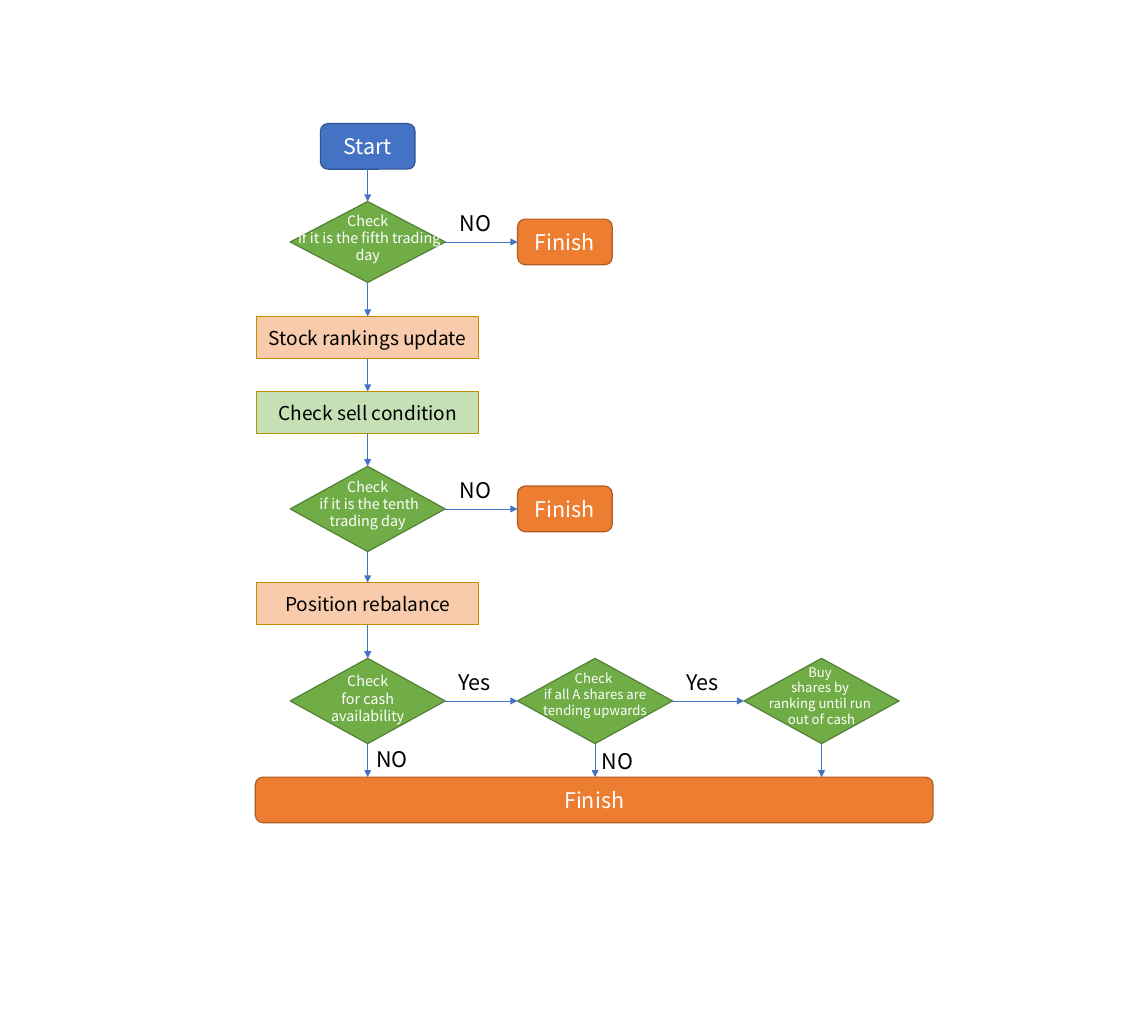
"""Build a flowchart slide of a periodic stock trading strategy."""
from dataclasses import dataclass

from lxml import etree
from pptx import Presentation
from pptx.dml.color import RGBColor
from pptx.enum.shapes import MSO_CONNECTOR, MSO_SHAPE
from pptx.enum.text import MSO_ANCHOR, PP_ALIGN
from pptx.oxml.ns import qn
from pptx.util import Inches, Pt

DECISION = MSO_SHAPE.FLOWCHART_DECISION
PROCESS = MSO_SHAPE.FLOWCHART_PROCESS
ROUNDED = MSO_SHAPE.ROUNDED_RECTANGLE
STRAIGHT = MSO_CONNECTOR.STRAIGHT
CENTER, LEFT = PP_ALIGN.CENTER, PP_ALIGN.LEFT
TOP, MIDDLE = MSO_ANCHOR.TOP, MSO_ANCHOR.MIDDLE
SITE_TOP, SITE_LEFT, SITE_BOTTOM, SITE_RIGHT = range(4)


@dataclass(frozen=True)
class Theme:
    """Colours as (fill, line) pairs, type sizes and the font."""
    font: str = "Noto Sans CJK SC"
    white: str = "FFFFFF"
    black: str = "000000"
    arrow: str = "4472C4"
    start: tuple = ("4472C4", "325491")
    finish: tuple = ("ED7D31", "AF5C24")
    decision: tuple = ("70AD47", "538035")
    update: tuple = ("F8CBAD", "BD8E00")
    check: tuple = ("C5E0B4", "BD8E00")
    large: int = 18
    medium: int = 16
    small: int = 12
    tiny: int = 11
    leading: float = 1.2


class Flowchart:
    """Draws flowchart elements on one slide in one theme."""

    def __init__(self, slide, theme):
        """Keep the slide and the theme."""
        self.slide = slide
        self.theme = theme

    def set_text(self, shape, lines, size, color, align=CENTER, anchor=MIDDLE):
        """Fill a shape with one paragraph for each line."""
        frame = shape.text_frame
        frame.word_wrap = True
        frame.vertical_anchor = anchor
        frame.text = "\n".join(lines)
        for paragraph in frame.paragraphs:
            paragraph.alignment = align
            paragraph.line_spacing = Pt(size * self.theme.leading)
            paragraph.font.name = self.theme.font
            paragraph.font.size = Pt(size)
            paragraph.font.color.rgb = RGBColor.from_string(color)

    def node(self, kind, center, middle, width, height, colors):
        """Add an outlined shape around a centre point."""
        shape = self.slide.shapes.add_shape(
            kind, Inches(center - width / 2), Inches(middle - height / 2),
            Inches(width), Inches(height))
        shape.shadow.inherit = False
        fill, line = colors
        shape.fill.solid()
        shape.fill.fore_color.rgb = RGBColor.from_string(fill)
        shape.line.color.rgb = RGBColor.from_string(line)
        shape.line.width = Pt(1)
        return shape

    def terminal(self, text, center, middle, colors, width=1.1):
        """Add a rounded start or finish box."""
        shape = self.node(ROUNDED, center, middle, width, 0.53, colors)
        self.set_text(shape, [text], self.theme.large, self.theme.white)
        return shape

    def process(self, text, center, middle, colors):
        """Add a rectangular step."""
        shape = self.node(PROCESS, center, middle, 2.58, 0.49, colors)
        self.set_text(shape, [text], self.theme.medium, self.theme.black)
        return shape

    def text_box(self, left, top, width, height, lines, size, color, align):
        """Add a text box."""
        box = self.slide.shapes.add_textbox(
            Inches(left), Inches(top), Inches(width), Inches(height))
        self.set_text(box, lines, size, color, align, TOP)

    def decision(self, lines, center, middle, height, text_top, size):
        """Add a diamond with a wider text box over it."""
        shape = self.node(DECISION, center, middle, 1.8, height, self.theme.decision)
        self.text_box(center - 1.93 / 2, text_top, 1.93, 0.71, lines, size,
                      self.theme.white, CENTER)
        return shape

    def label(self, text, left, top):
        """Add the answer beside an arrow."""
        self.text_box(left, top, 0.65, 0.4, [text], self.theme.large,
                      self.theme.black, LEFT)

    def arrow(self, source, source_site, target, target_site=None):
        """Add an arrow from a shape to another, or straight down to its top edge."""
        connector = self.slide.shapes.add_connector(
            STRAIGHT, 0, 0, source.left + source.width // 2, target.top)
        connector.begin_connect(source, source_site)
        if target_site is not None:
            connector.end_connect(target, target_site)
        connector.line.color.rgb = RGBColor.from_string(self.theme.arrow)
        connector.line.width = Pt(0.5)
        properties = connector._element.spPr
        etree.SubElement(properties.find(qn("a:ln")), qn("a:tailEnd"), type="triangle")
        etree.SubElement(properties, qn("a:effectLst"))


def main():
    """Build and save the slide."""
    presentation = Presentation()
    presentation.slide_width = Inches(13.33)
    presentation.slide_height = Inches(11.81)
    slide = presentation.slides.add_slide(presentation.slide_layouts[6])
    theme = Theme()
    chart = Flowchart(slide, theme)

    main_column, shares_column, buy_column = 4.27, 6.91, 9.54
    finish_column = 6.56
    fifth_row, tenth_row, cash_row = 2.81, 5.91, 8.14

    start = chart.terminal("Start", main_column, 1.7, theme.start)
    fifth_day = chart.decision(["Check", " if it is the fifth trading day"],
                               main_column, fifth_row, 0.94, 2.41, theme.small)
    rankings = chart.process("Stock rankings update", main_column, 3.92, theme.update)
    sell = chart.process("Check sell condition", main_column, 4.79, theme.check)
    tenth_day = chart.decision(["Check", " if it is the tenth trading day"],
                               main_column, tenth_row, 0.99, 5.5, theme.small)
    rebalance = chart.process("Position rebalance", main_column, 7.01, theme.update)
    cash = chart.decision(["Check", " for cash ", "availability"],
                          main_column, cash_row, 0.99, 7.76, theme.small)
    shares = chart.decision(["Check ", "if all A shares are tending upwards"],
                            shares_column, cash_row, 0.99, 7.74, theme.tiny)
    buy = chart.decision(["Buy ", "shares by ", "ranking until run ", "out of cash"],
                         buy_column, cash_row, 0.99, 7.66, theme.tiny)
    final_bar = chart.terminal("Finish", 6.9, 9.29, theme.finish, width=7.87)

    steps = [start, fifth_day, rankings, sell, tenth_day, rebalance, cash]
    for source, target in zip(steps, steps[1:]):
        chart.arrow(source, SITE_BOTTOM, target, SITE_TOP)

    for decision, row in ((fifth_day, fifth_row), (tenth_day, tenth_row)):
        finish = chart.terminal("Finish", finish_column, row, theme.finish)
        chart.arrow(decision, SITE_RIGHT, finish, SITE_LEFT)
        chart.label("NO", 5.24, row - 0.42)

    for source, target, label_left in ((cash, shares, 5.22), (shares, buy, 7.87)):
        chart.arrow(source, SITE_RIGHT, target, SITE_LEFT)
        chart.label("Yes", label_left, cash_row - 0.42)

    for source in (cash, shares, buy):
        chart.arrow(source, SITE_BOTTOM, final_bar)
    chart.label("NO", main_column, 8.61)
    chart.label("NO", shares_column - 0.02, 8.64)

    presentation.save("out.pptx")


main()
